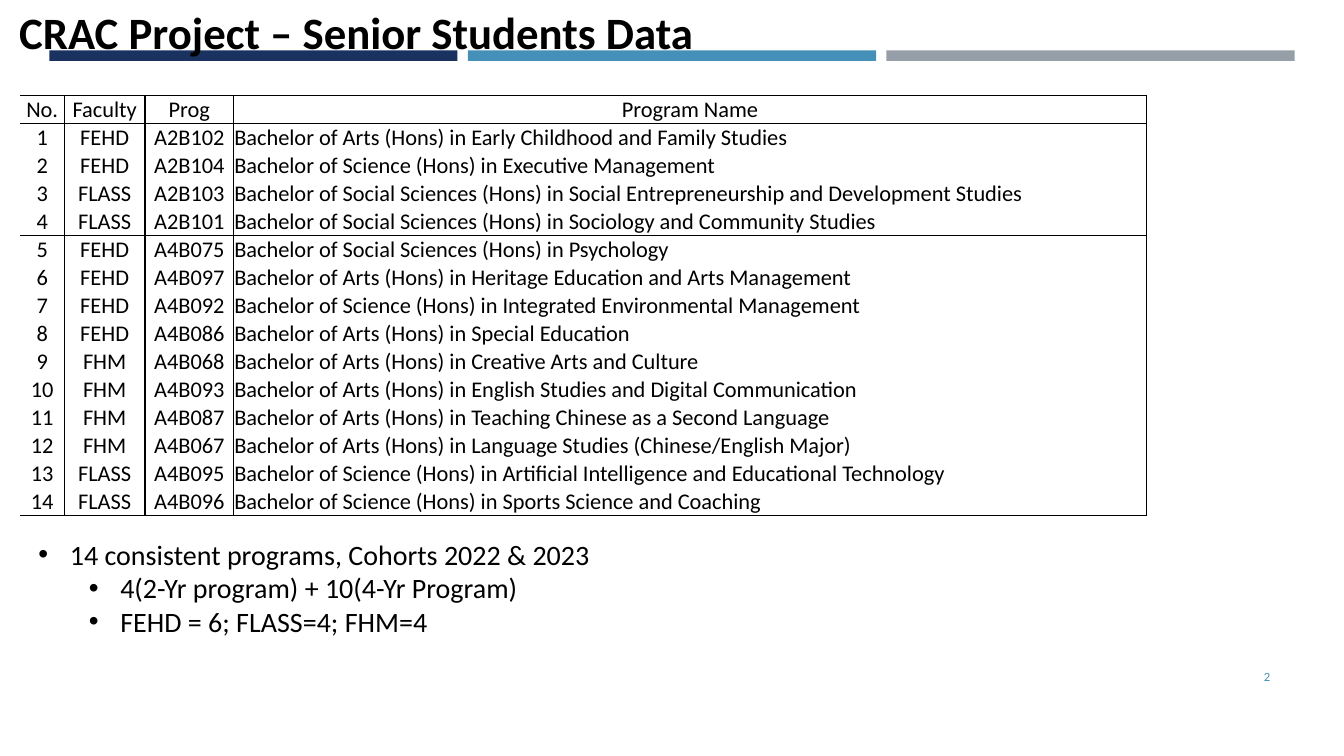
from lxml.etree import SubElement as Sub
from pptx import Presentation
from pptx.dml.color import RGBColor as RGB
from pptx.enum.shapes import MSO_SHAPE as Shape
from pptx.enum.text import MSO_ANCHOR as Anchor, MSO_AUTO_SIZE as Auto, PP_ALIGN as Align
from pptx.oxml.ns import qn
from pptx.util import Pt

theme = {
    "font": "Calibri",
    "ink": "000000", "navy": "1A3260", "blue": "4590B8", "gray": "969FA7",
    "title": 32, "list": 20, "cell": 16, "num": 9,
}


def write(para, text, size, ink="ink", bold=False, align=Align.LEFT):
    para.text = text
    para.alignment = align
    font = para.runs[0].font
    look = {"name": theme["font"], "size": Pt(theme[size]), "bold": bold}
    for key, value in look.items():
        setattr(font, key, value)
    font.color.rgb = RGB.from_string(theme[ink])


def place(item, *box):
    for key, value in zip(("left", "top", "width", "height"), box):
        setattr(item, key, Pt(value))


deck = Presentation()
deck.slide_width, deck.slide_height = Pt(960), Pt(540)
slide = deck.slides.add_slide(deck.slide_layouts[1])
shapes = slide.shapes
title, body = slide.placeholders

# Title
place(title, 6.5, 0, 618, 46)
frame = title.text_frame
frame.auto_size, frame.vertical_anchor = Auto.NONE, Anchor.TOP
write(frame.paragraphs[0], "CRAC Project – Senior Students Data", "title", bold=True)

# Colour bars behind the title
for i, tint in enumerate(("navy", "blue", "gray")):
    bar = shapes.add_shape(Shape.RECTANGLE, Pt(35.2 + 299 * i), Pt(36), Pt(291.6), Pt(7.5))
    bar.shadow.inherit = False
    bar.fill.solid()
    bar.fill.fore_color.rgb = RGB.from_string(theme[tint])
    bar.line.fill.background()
    title.element.addprevious(bar.element)

# Program table
progs = [
    ("FEHD", "A2B102", "Arts (Hons) in Early Childhood and Family Studies"),
    ("FEHD", "A2B104", "Science (Hons) in Executive Management"),
    ("FLASS", "A2B103", "Social Sciences (Hons) in Social Entrepreneurship and Development Studies"),
    ("FLASS", "A2B101", "Social Sciences (Hons) in Sociology and Community Studies"),
    ("FEHD", "A4B075", "Social Sciences (Hons) in Psychology"),
    ("FEHD", "A4B097", "Arts (Hons) in Heritage Education and Arts Management"),
    ("FEHD", "A4B092", "Science (Hons) in Integrated Environmental Management"),
    ("FEHD", "A4B086", "Arts (Hons) in Special Education"),
    ("FHM", "A4B068", "Arts (Hons) in Creative Arts and Culture"),
    ("FHM", "A4B093", "Arts (Hons) in English Studies and Digital Communication"),
    ("FHM", "A4B087", "Arts (Hons) in Teaching Chinese as a Second Language"),
    ("FHM", "A4B067", "Arts (Hons) in Language Studies (Chinese/English Major)"),
    ("FLASS", "A4B095", "Science (Hons) in Artificial Intelligence and Educational Technology"),
    ("FLASS", "A4B096", "Science (Hons) in Sports Science and Coaching"),
]
rows = [("No.", "Faculty", "Prog", "Program Name")]
for n, (unit, code, name) in enumerate(progs, 1):
    rows.append((str(n), unit, code, f"Bachelor of {name}"))
wides = (31.5, 57.75, 63.25, 652)
rules = {0, 1, 5, len(rows)}  # row edges that carry a line
inset = {"margin_left": 0.5, "margin_right": 0.5, "margin_top": 0.4, "margin_bottom": 0}

grid = shapes.add_table(len(rows), len(wides), Pt(14.4), Pt(68.4),
                        Pt(sum(wides)), Pt(20 * len(rows))).table
grid.first_row = grid.horz_banding = False
for col, wide in zip(grid.columns, wides):
    col.width = Pt(wide)
for r, row in enumerate(rows):
    grid.rows[r].height = Pt(20)
    for c, text in enumerate(row):
        cell = grid.cell(r, c)
        for key, value in inset.items():
            setattr(cell, key, Pt(value))
        left = r > 0 and c == 3
        write(cell.text_frame.paragraphs[0], text, "cell",
              align=Align.LEFT if left else Align.CENTER)
        # Borders come before the fill
        props = cell._tc.get_or_add_tcPr()
        sides = {"L": c > 0, "R": True, "T": r in rules, "B": r + 1 in rules}
        for side, shown in sides.items():
            line = Sub(props, qn(f"a:ln{side}"), w=str(Pt(1)))
            if shown:
                Sub(Sub(line, qn("a:solidFill")), qn("a:srgbClr"), val=theme["ink"])
            else:
                Sub(line, qn("a:noFill"))
        cell.fill.background()

# Summary list
place(body, 20.2, 380.2, 926, 80)
frame = body.text_frame
frame.auto_size = Auto.NONE
notes = [
    (0, "14 consistent programs, Cohorts 2022 & 2023"),
    (1, "4(2-Yr program) + 10(4-Yr Program)"),
    (1, "FEHD = 6; FLASS=4; FHM=4"),
]
for i, (level, text) in enumerate(notes):
    para = frame.add_paragraph() if i else frame.paragraphs[0]
    write(para, text, "list")
    para.level = level
    para.space_before = Pt(0)
    props = para._p.get_or_add_pPr()
    props.set("marL", str(Pt(22.5 + 36 * level)))
    props.set("indent", str(Pt(-22.5)))
    Sub(props, qn("a:buFont"), typeface="Arial")
    Sub(props, qn("a:buChar"), char="•")

# Slide number
num = shapes.add_textbox(Pt(831.6), Pt(468.7), Pt(82.8), Pt(28.8)).text_frame
num.word_wrap, num.vertical_anchor = True, Anchor.MIDDLE
write(num.paragraphs[0], "2", "num", ink="blue", align=Align.RIGHT)

deck.save("out.pptx")
